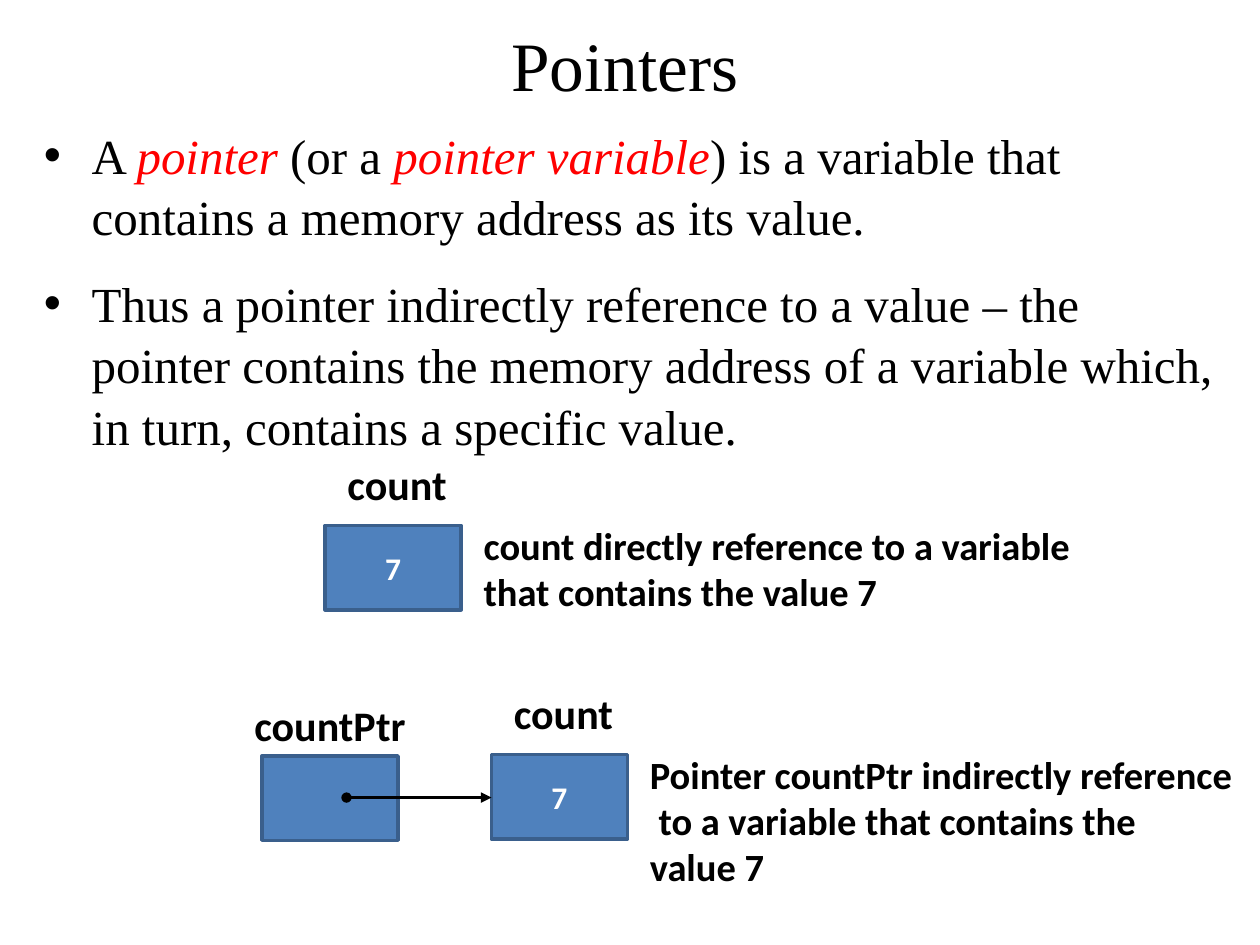
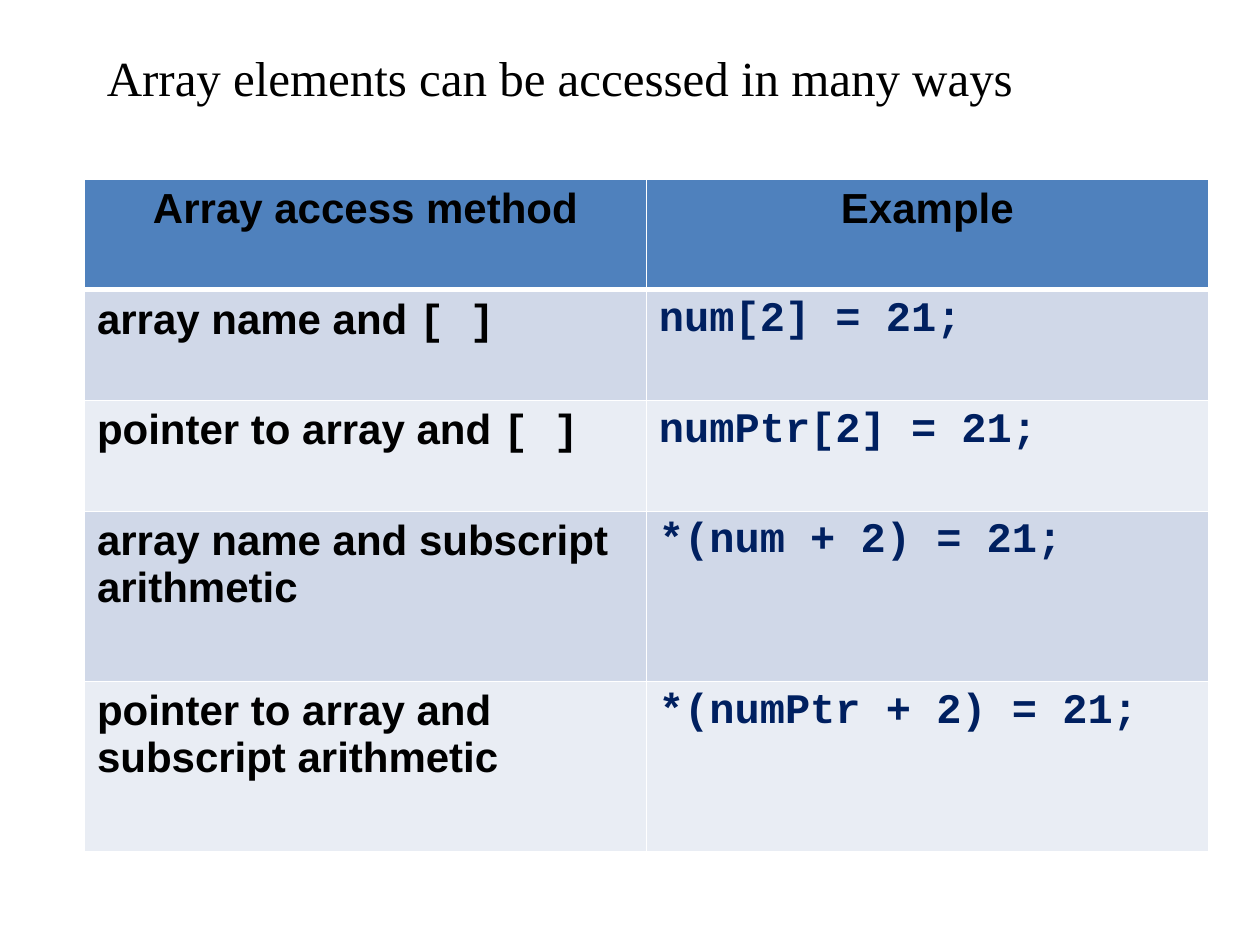
from lxml.etree import SubElement
from pptx import Presentation
from pptx.dml.color import RGBColor
from pptx.enum.shapes import MSO_CONNECTOR as CONNECTOR, MSO_SHAPE as SHAPE
from pptx.enum.text import MSO_ANCHOR as ANCHOR, PP_ALIGN as ALIGN
from pptx.oxml.ns import qn
from pptx.util import Inches, Pt

COLORS = {
    "text": "000000", "white": "FFFFFF", "accent": "FF0000", "code": "002060",
    "blue": "4F81BD", "outline": "3A5F8C", "band": "D0D8E8", "pale": "E9EDF4",
}
SERIF, SANS, LABEL, MONO = "Times New Roman", "Arial", "Calibri", "Courier New"
BOX_WIDTH, BOX_HEIGHT = 1.08, 0.67


def rgb(name):
    """Look up a colour by its role."""
    return RGBColor.from_string(COLORS[name])


def add_span(para, text, font, size, color="text", bold=False, italic=False):
    """Append one formatted run to a paragraph."""
    span = para.add_run()
    span.text = text
    span.font.name = font
    span.font.size = Pt(size)
    span.font.color.rgb = rgb(color)
    span.font.bold = bold
    span.font.italic = italic


def add_text(page, place, lines, font, size, bold=False, wrap=True):
    """Add a text box with one paragraph per line and return its frame."""
    frame = page.shapes.add_textbox(*map(Inches, place)).text_frame
    frame.word_wrap = wrap
    for index, line in enumerate(lines):
        para = frame.add_paragraph() if index else frame.paragraphs[0]
        add_span(para, line, font, size, bold=bold)
    return frame


def add_label(page, place, lines, size=24):
    """Add a bold diagram label that keeps its own line breaks."""
    add_text(page, place, lines, LABEL, size, bold=True, wrap=False)


def add_bullets(page, place, items):
    """Add bulleted paragraphs; each item is a list of (text, is_term) pairs."""
    frame = page.shapes.add_textbox(*map(Inches, place)).text_frame
    frame.word_wrap = True
    for index, item in enumerate(items):
        para = frame.add_paragraph() if index else frame.paragraphs[0]
        para.line_spacing = 1.05
        para.space_before = Pt(14 if index else 0)
        props = para._p.get_or_add_pPr()
        props.set("marL", str(Inches(0.38)))
        props.set("indent", str(-Inches(0.38)))
        SubElement(props, qn("a:buFont")).set("typeface", SANS)
        SubElement(props, qn("a:buChar")).set("char", "•")
        for text, is_term in item:
            add_span(para, text, SERIF, 28, "accent" if is_term else "text",
                     italic=is_term)


def add_memory_box(page, left, top, value=""):
    """Draw a memory cell, with its value when it has one."""
    box = page.shapes.add_shape(
        SHAPE.RECTANGLE, *map(Inches, (left, top, BOX_WIDTH, BOX_HEIGHT)))
    box.shadow.inherit = False
    box.fill.solid()
    box.fill.fore_color.rgb = rgb("blue")
    box.line.color.rgb = rgb("outline")
    box.line.width = Pt(2)
    box.text_frame.vertical_anchor = ANCHOR.MIDDLE
    if value:
        para = box.text_frame.paragraphs[0]
        para.alignment = ALIGN.CENTER
        add_span(para, value, LABEL, 18, "white", bold=True)


def add_variable(page, left, top, notes, note_width, note_height):
    """Draw the count variable with its name above and its notes beside it."""
    add_memory_box(page, left, top, "7")
    add_label(page, (left + 0.08, top - 0.58, 1, 0.5), ["count"])
    add_label(page, (left + 1.16, top - 0.08, note_width, note_height), notes, 22)


def add_pointer_arrow(page, start, end):
    """Draw an arrow that starts in a dot."""
    arrow = page.shapes.add_connector(
        CONNECTOR.STRAIGHT, *map(Inches, (*start, *end)))
    arrow.line.color.rgb = rgb("text")
    arrow.line.width = Pt(1.5)
    line = arrow.line._get_or_add_ln()
    SubElement(line, qn("a:headEnd")).set("type", "oval")
    SubElement(line, qn("a:tailEnd")).set("type", "triangle")
    SubElement(arrow._element.spPr, qn("a:effectLst"))


def style_cell(cell, fill, top=1, bottom=1):
    """Give a cell white borders and a solid fill."""
    props = cell._tc.get_or_add_tcPr()
    for side, width in (("L", 1), ("R", 1), ("T", top), ("B", bottom)):
        border = SubElement(props, qn(f"a:ln{side}"))
        border.set("w", str(Pt(width)))
        solid = SubElement(border, qn("a:solidFill"))
        SubElement(solid, qn("a:srgbClr")).set("val", COLORS["white"])
    cell.fill.solid()
    cell.fill.fore_color.rgb = rgb(fill)


def add_access_table(page, headings, methods, heights):
    """Add the table of access methods; a method is (words, symbol, example)."""
    table = page.shapes.add_table(
        len(heights), 2, *map(Inches, (0.67, 1.42, 8.92, sum(heights)))).table
    table.horz_banding = False
    for column in table.columns:
        column.width = Inches(4.46)
    for row, height in zip(table.rows, heights):
        row.height = Inches(height)

    for column, heading in enumerate(headings):
        cell = table.cell(0, column)
        style_cell(cell, "blue", bottom=3)
        para = cell.text_frame.paragraphs[0]
        para.alignment = ALIGN.CENTER
        add_span(para, heading, SANS, 24, bold=True)

    for row, (words, symbol, example) in enumerate(methods, 1):
        method_cell, example_cell = table.cell(row, 0), table.cell(row, 1)
        for cell in (method_cell, example_cell):
            style_cell(cell, "band" if row % 2 else "pale", top=3 if row == 1 else 1)
        para = method_cell.text_frame.paragraphs[0]
        add_span(para, words, SANS, 24, bold=True)
        if symbol:
            add_span(para, symbol, MONO, 24, bold=True)
        add_span(example_cell.text_frame.paragraphs[0], example, MONO, 24, "code",
                 bold=True)


def build_pointers(page):
    """Explain pointers with bullets and a memory diagram."""
    title = add_text(page, (0.5, 0.17, 8.92, 0.67), ["Pointers"], SERIF, 39.6)
    title.vertical_anchor = ANCHOR.MIDDLE
    title.paragraphs[0].alignment = ALIGN.CENTER
    add_bullets(page, (0.25, 0.92, 9.5, 2.7), [
        [("A ", False), ("pointer", True), (" (or a ", False),
         ("pointer variable", True),
         (") is a variable that contains a memory address as its value.", False)],
        [("Thus a pointer indirectly reference to a value – the pointer contains "
          "the memory address of a variable which, in turn, contains a specific "
          "value.", False)],
    ])
    add_variable(page, 2.58, 4.17, [
        "count directly reference to a variable ", "that contains the value 7",
    ], 4.99, 0.84)
    add_variable(page, 3.9, 5.99, [
        "Pointer countPtr indirectly reference",
        " to a variable that contains the ", "value 7",
    ], 4.88, 1.21)
    add_memory_box(page, 2.08, 6)
    add_pointer_arrow(page, (2.75, 6.33), (3.9, 6.33))
    add_label(page, (1.92, 5.5, 1.41, 0.5), ["countPtr"])


def build_array_access(page):
    """Compare the ways to access an array element."""
    add_access_table(page, ["Array access method", "Example"], [
        ("array name and ", "[ ]", "num[2] = 21;"),
        ("pointer to array and ", "[ ]", "numPtr[2] = 21;"),
        ("array name and subscript arithmetic", "", "*(num + 2) = 21;"),
        ("pointer to array and subscript arithmetic", "", "*(numPtr + 2) = 21;"),
    ], [0.88] * 3 + [1.35] * 2)
    add_text(page, (0.75, 0.33, 8.33, 0.57),
             ["Array elements can be accessed in many ways"], SERIF, 28)


def main():
    """Build and save the deck."""
    deck = Presentation()
    deck.slide_width, deck.slide_height = Inches(10), Inches(7.5)
    for build in (build_pointers, build_array_access):
        build(deck.slides.add_slide(deck.slide_layouts[6]))
    deck.save("out.pptx")


main()
